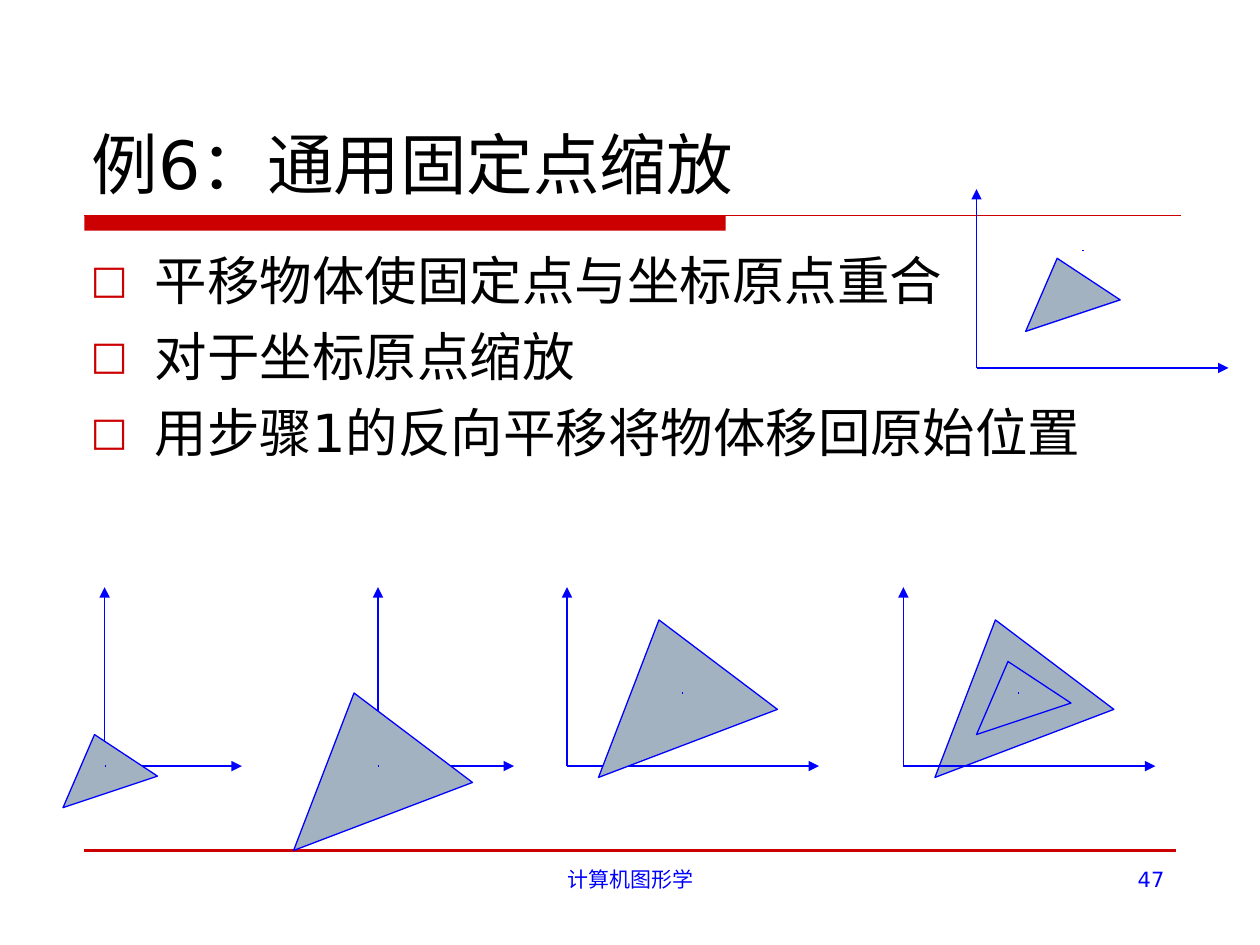
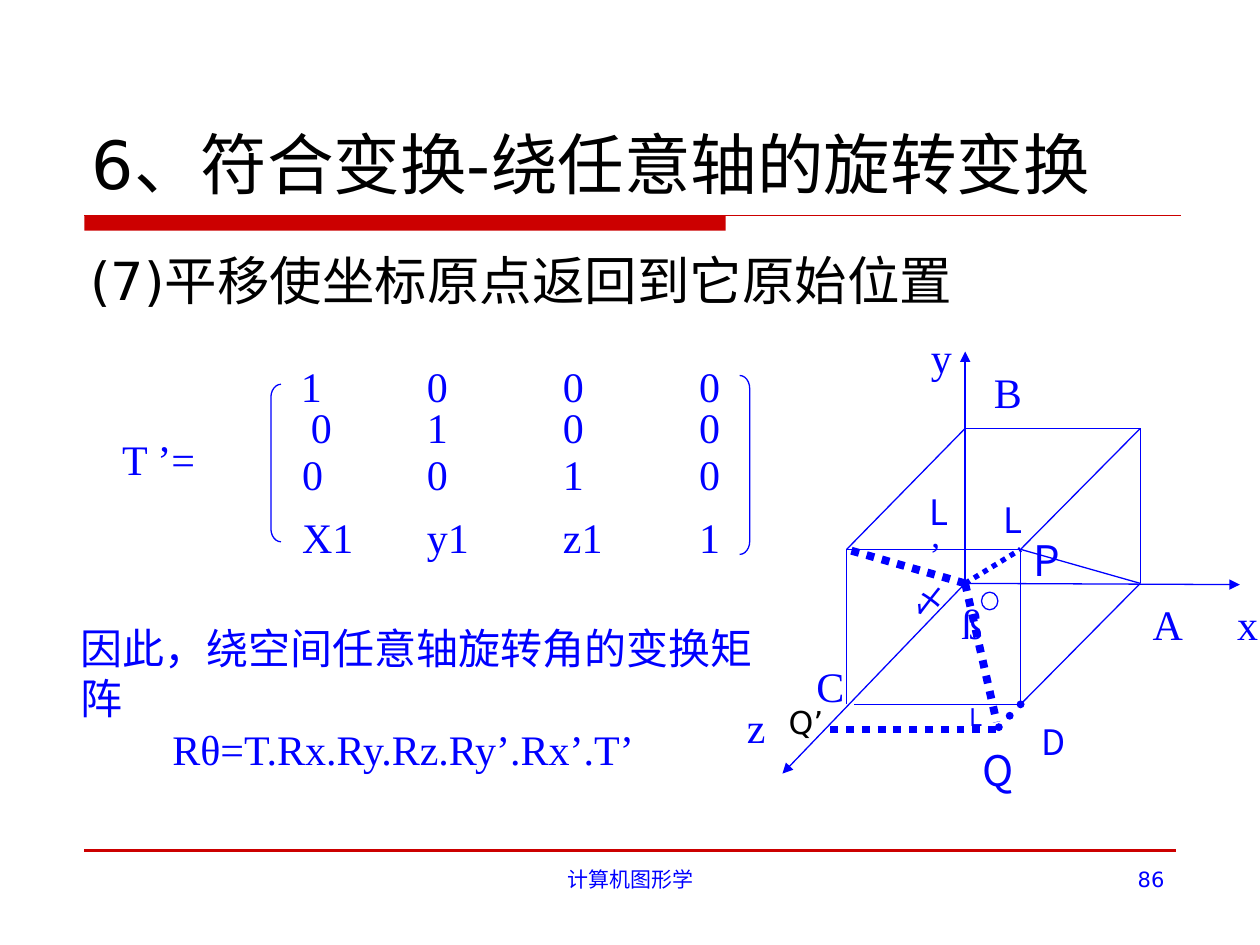
import pptx
import pptx.chart.data
import pptx.dml.color
import pptx.enum.dml
import pptx.enum.shapes
import pptx.enum.text
import pptx.oxml.ns
import pptx.util
from lxml import etree

Inches = pptx.util.Inches
Pt = pptx.util.Pt
qn = pptx.oxml.ns.qn
SHAPE = pptx.enum.shapes.MSO_SHAPE
ALIGN = pptx.enum.text.PP_ALIGN
ANCHOR = pptx.enum.text.MSO_ANCHOR

RED = "CC0000"
BLUE = "0000FF"
BLACK = "000000"
GREY = "A3B2C1"
SANS = "DejaVu Sans"
SERIF = "Times New Roman"
CJK = "Noto Sans CJK SC"
SMALL_TRIANGLE = [(0, 0.58), (0.75, 0.33), (0.25, 0)]
LARGE_TRIANGLE = [(0, 1.25), (1.42, 0.71), (0.48, 0)]


def color(value):
    return pptx.dml.color.RGBColor.from_string(value)


class Deck:
    def __init__(self):
        self.presentation = pptx.Presentation()
        self.presentation.slide_width = Inches(10)
        self.presentation.slide_height = Inches(7.5)
        self.slide = None

    def add_slide(self, title, number):
        self.slide = self.presentation.slides.add_slide(self.presentation.slide_layouts[6])
        band = self.slide.shapes.add_shape(
            SHAPE.RECTANGLE, Inches(0.67), Inches(1.71), Inches(5.09), Inches(0.12))
        self.style(band, RED, None)
        self.line((0.67, 1.71), (9.37, 1.71), RED)
        self.line((0.67, 6.75), (9.33, 6.75), RED, 2.25)
        self.text("计算机图形学", 3.42, 6.83, 3.17, 0.52, 12, SANS, align=ALIGN.CENTER)
        self.text(str(number), 7.17, 6.83, 2.17, 0.52, 12, SANS, align=ALIGN.RIGHT)
        self.text(title, 0.63, 0.33, 8.75, 1.33, 38, SANS, BLACK, anchor=ANCHOR.BOTTOM)

    def style(self, shape, fill=None, line=BLUE):
        shape.shadow.inherit = False
        if fill:
            shape.fill.solid()
            shape.fill.fore_color.rgb = color(fill)
        else:
            shape.fill.background()
        if line:
            shape.line.color.rgb = color(line)
            shape.line.width = Pt(0.75)
        else:
            shape.line.fill.background()

    def outline(self, preset, left, top, width, height):
        shape = self.slide.shapes.add_shape(
            preset, Inches(left), Inches(top), Inches(width), Inches(height))
        self.style(shape)
        return shape

    def line(self, start, end, stroke=BLUE, width=0.75, arrow=False, dotted=False, cap=None):
        connector = self.slide.shapes.add_connector(
            pptx.enum.shapes.MSO_CONNECTOR.STRAIGHT, *map(Inches, start + end))
        connector.line.color.rgb = color(stroke)
        connector.line.width = Pt(width)
        if dotted:
            connector.line.dash_style = pptx.enum.dml.MSO_LINE.ROUND_DOT
        properties = connector._element.spPr
        outline = properties.find(qn("a:ln"))
        if cap:
            outline.set("cap", cap)
        if arrow:
            etree.SubElement(outline, qn("a:tailEnd"), type="triangle")
        etree.SubElement(properties, qn("a:effectLst"))

    def text(self, content, left, top, width, height, size=24, font=SERIF, ink=BLUE,
             align=ALIGN.LEFT, anchor=ANCHOR.TOP, wrap=True, spacing=None, inset=None, tabs=()):
        box = self.slide.shapes.add_textbox(
            Inches(left), Inches(top), Inches(width), Inches(height))
        frame = box.text_frame
        frame.word_wrap = wrap
        frame.vertical_anchor = anchor
        if inset is not None:
            frame.margin_left = frame.margin_right = Inches(inset)
            frame.margin_top = frame.margin_bottom = 0
        paragraph = frame.paragraphs[0]
        paragraph.text = content
        paragraph.alignment = align
        if spacing:
            paragraph.line_spacing = spacing
        if tabs:
            tab_list = etree.SubElement(paragraph._p.get_or_add_pPr(), qn("a:tabLst"))
            for position in tabs:
                etree.SubElement(tab_list, qn("a:tab"), pos=str(Inches(position)), algn="l")
        self.set_font(paragraph, size, font, ink)
        return paragraph

    def set_font(self, paragraph, size, font, ink):
        paragraph.font.size = Pt(size)
        paragraph.font.name = font
        paragraph.font.color.rgb = color(ink)

    def bullets(self, items, left, top, width, height):
        box = self.slide.shapes.add_textbox(
            Inches(left), Inches(top), Inches(width), Inches(height))
        frame = box.text_frame
        frame.word_wrap = True
        for index, item in enumerate(items):
            paragraph = frame.add_paragraph() if index else frame.paragraphs[0]
            paragraph.text = item
            if index:
                paragraph.space_before = Pt(7.5)
            properties = paragraph._p.get_or_add_pPr()
            properties.set("marL", str(Inches(0.51)))
            properties.set("indent", str(-Inches(0.51)))
            bullet_color = etree.SubElement(properties, qn("a:buClr"))
            etree.SubElement(bullet_color, qn("a:srgbClr"), val=RED)
            etree.SubElement(properties, qn("a:buSzPct"), val="75000")
            etree.SubElement(properties, qn("a:buFont"), typeface=SANS)
            etree.SubElement(properties, qn("a:buChar"), char="□")
            self.set_font(paragraph, 30, SANS, BLACK)

    def axes(self, x, y, length):
        self.line((x, y), (x + length, y), arrow=True)
        self.line((x, y), (x, y - 1.42), arrow=True)

    def triangle(self, corners, left, top):
        points = [(Inches(left + x), Inches(top + y)) for x, y in corners]
        builder = self.slide.shapes.build_freeform(*points[0])
        builder.add_line_segments(points[1:], close=True)
        self.style(builder.convert_to_shape(), GREY)

    def fixed_point(self, x, y):
        self.line((x, y), (x + 0.01, y))


def build_scaling(deck):
    deck.add_slide("例6：通用固定点缩放", 47)
    deck.bullets(["平移物体使固定点与坐标原点重合", "对于坐标原点缩放",
                  "用步骤1的反向平移将物体移回原始位置"], 0.62, 1.92, 8.75, 4.67)
    stages = [
        ((7.75, 2.92, 2), SMALL_TRIANGLE, (8.14, 2.05), (8.59, 1.99)),
        ((0.83, 6.08, 1.09), SMALL_TRIANGLE, (0.5, 5.83), (0.83, 6.08)),
        ((3, 6.08, 1.08), LARGE_TRIANGLE, (2.33, 5.5), (3, 6.08)),
        ((4.5, 6.08, 2), LARGE_TRIANGLE, (4.75, 4.92), (5.41, 5.5)),
    ]
    for axes, corners, corner, point in stages:
        deck.axes(*axes)
        deck.triangle(corners, *corner)
        deck.fixed_point(*point)
    deck.triangle(LARGE_TRIANGLE, 7.42, 4.92)
    deck.axes(7.17, 6.08, 2)
    deck.triangle(SMALL_TRIANGLE, 7.75, 5.25)
    deck.fixed_point(8.08, 5.5)


def build_matrix(deck):
    rows = [
        (2.29, 2.81, "1000"),
        (2.37, 3.14, "0100"),
        (2.3, 3.51, "0010"),
        (2.3, 4.01, ["X1", "y1", "z1", "1"]),
    ]
    columns = [3.39, 4.47, 5.55]
    for left, top, values in rows:
        tabs = [column - left - 0.1 for column in columns]
        deck.text("\t".join(values), left, top, 3.6, 0.5, tabs=tabs)
    for preset, left, top, height in [(SHAPE.LEFT_BRACKET, 2.15, 3.05, 1.25),
                                      (SHAPE.RIGHT_BRACKET, 5.87, 2.98, 1.42)]:
        deck.outline(preset, left, top, 0.08, height).adjustments[0] = 1.3
    deck.text("T ’=", 0.87, 3.39, 0.78, 0.5, wrap=False)
    deck.text("因此，绕空间任意轴旋转角的变换矩阵", 0.54, 4.89, 5.86, 0.5, wrap=False)
    deck.text("Rθ=T.Rx.Ry.Rz.Ry’.Rx’.T’", 1.27, 5.69, 3.93, 0.5, wrap=False)


def build_cube(deck):
    origin, a, b = (7.66, 4.63), (9.05, 4.63), (7.66, 3.4)
    top_right, p, d = (9.05, 3.4), (8.1, 4.36), (8.1, 5.59)
    front_left, c, q = (6.72, 4.36), (6.72, 5.59), (7.91, 5.79)
    edges = [(d, a), (front_left, p), (b, top_right), (top_right, a), ((6.78, 5.59), d),
             (front_left, c), (front_left, b), (p, top_right), (p, d), (p, a)]
    for start, end in edges:
        deck.line(start, end)
    for tip in [(6.21, 6.14), (7.66, 2.79), (9.84, 4.64)]:
        deck.line(origin, tip, arrow=True)
    for start, end, width in [(origin, front_left, 4.5), (origin, p, 3),
                              (origin, (7.91, 5.73), 4.5), ((6.59, 5.79), q, 4.5)]:
        deck.line(start, end, width=width, dotted=True)
    deck.line(d, q, width=4.5, dotted=True, cap="rnd")
    deck.outline(SHAPE.OVAL, 7.79, 4.7, 0.13, 0.14)

    for label, left, top, width in [("z", 5.83, 5.52, 0.35), ("x", 9.72, 4.7, 0.28),
                                    ("y", 7.29, 2.58, 0.36), ("B", 7.79, 2.86, 0.42),
                                    ("C", 6.38, 5.19, 0.42), ("A", 9.05, 4.7, 0.44)]:
        deck.text(label, left, top, width, 0.5)
    centred = {"align": ALIGN.CENTER, "anchor": ANCHOR.MIDDLE, "wrap": False}
    deck.text("〆", 7.16, 4.63, 0.19, 0.27, 18, CJK, **centred)
    deck.text("ß", 7.54, 4.84, 0.19, 0.2, **centred)
    deck.text("L", 7.79, 3.88, 0.5, 0.48, 20, CJK, **centred)
    projection = deck.text("L", 7.28, 4.02, 0.25, 0.41, 20, CJK, **centred)
    prime = projection.add_run()
    prime.text = "’"
    prime.font.name = SERIF
    deck.text("P", 8.1, 4.02, 0.31, 0.68, 24, CJK, spacing=1.44)
    deck.text("Q", 7.8, 5.73, 0.27, 0.58, 24, CJK, spacing=1.44, inset=0)
    deck.text("D", 8.17, 5.52, 0.38, 0.58, 20, CJK, spacing=1.44)
    right_angle = deck.text("L", 7.63, 5.15, 0.24, 0.66, 24, CJK, align=ALIGN.CENTER,
                            spacing=1.44, inset=0.02)
    right_angle.runs[0]._r.get_or_add_rPr().set("baseline", "-25000")
    deck.text("Q’", 6.16, 5.53, 0.65, 0.4, 18, SANS, BLACK)


def main():
    deck = Deck()
    build_scaling(deck)
    deck.add_slide("6、符合变换-绕任意轴的旋转变换", 86)
    deck.text("(7)平移使坐标原点返回到它原始位置", 0.62, 1.92, 8.75, 0.75, 30, SANS, BLACK)
    build_matrix(deck)
    build_cube(deck)
    deck.presentation.save("out.pptx")


if __name__ == "__main__":
    main()
